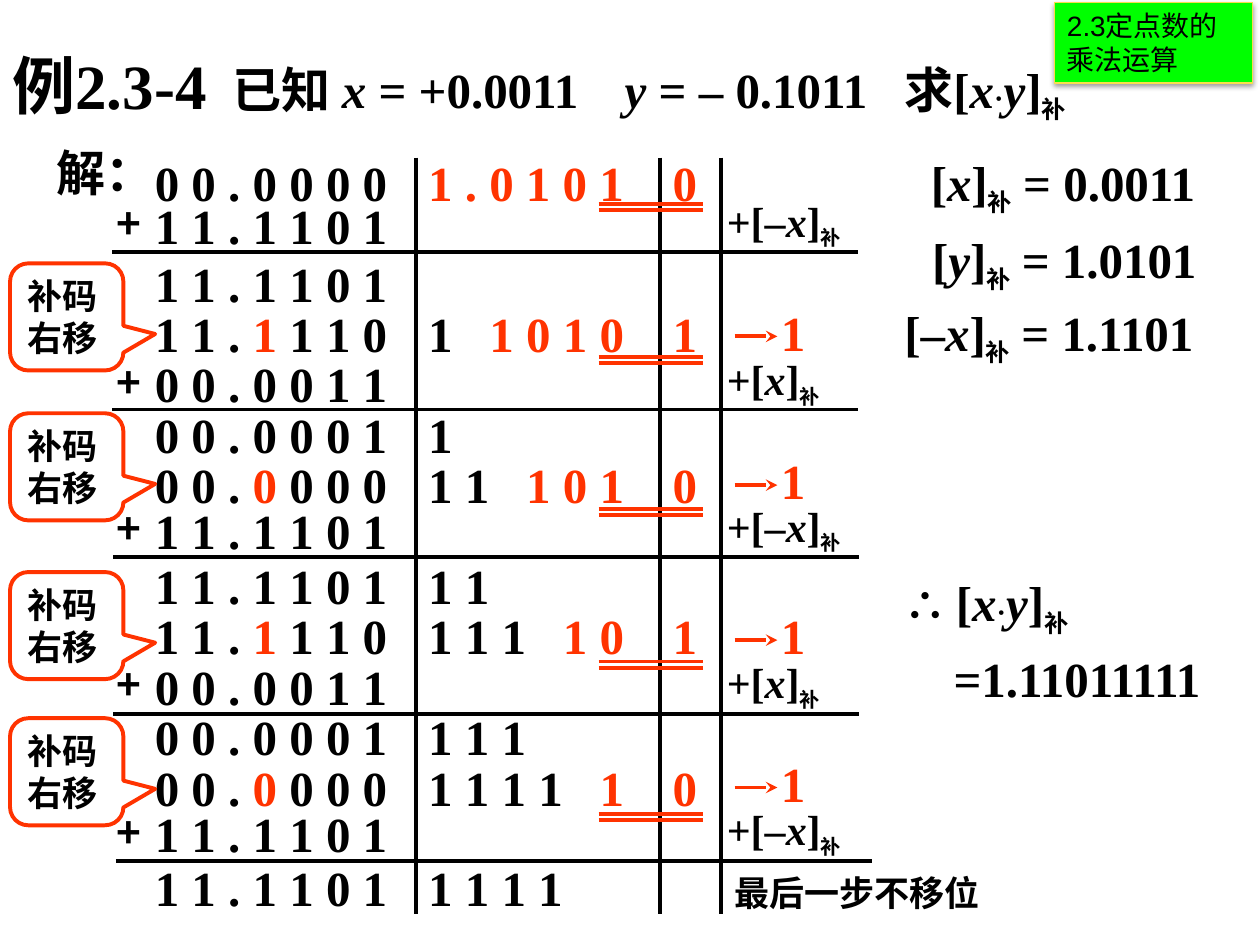
from lxml.etree import SubElement
from pptx import Presentation
from pptx.dml.color import RGBColor
from pptx.enum.shapes import MSO_CONNECTOR, MSO_SHAPE
from pptx.enum.text import MSO_ANCHOR, MSO_AUTO_SIZE, PP_ALIGN
from pptx.oxml.ns import qn
from pptx.util import Inches, Pt

BLACK, RED = "000000", "FF3300"
SERIF, CJK = "Times New Roman", "Noto Sans CJK SC"
ITALIC = {"italic": True}
DOT = {"base": -1}


def color(value):
    return RGBColor.from_string(value)


def complement(size):
    return ("补", {"size": size, "base": -25})


class Board:
    def __init__(self, page):
        self.page = page
        self.font = SERIF
        self.width = Pt(2.25)

    def style(self, span, size, ink=BLACK, bold=True, italic=False, font=None, base=0):
        span.font.size = Pt(size)
        span.font.bold = bold
        span.font.italic = italic
        span.font.name = font or self.font
        span.font.color.rgb = color(ink)
        properties = span._r.get_or_add_rPr()
        SubElement(properties, qn("a:ea"), typeface=CJK)
        if base:
            properties.set("baseline", str(base * 1000))

    def add_spans(self, para, runs, **defaults):
        para.alignment = PP_ALIGN.LEFT
        for text, changes in runs:
            span = para.add_run()
            span.text = text
            self.style(span, **{**defaults, **changes})

    def text(self, left, top, width, height, runs, wrap=True, tabs=(), **defaults):
        box = self.page.shapes.add_textbox(*map(Inches, (left, top, width, height)))
        frame = box.text_frame
        frame.word_wrap = wrap
        frame.auto_size = MSO_AUTO_SIZE.SHAPE_TO_FIT_TEXT
        para = frame.paragraphs[0]
        if tabs:
            stops = SubElement(para._p.get_or_add_pPr(), qn("a:tabLst"))
            for stop in tabs:
                SubElement(stops, qn("a:tab"), pos=str(Inches(stop)), algn="l")
        if isinstance(runs, str):
            runs = [(runs, {})]
        self.add_spans(para, runs, **{"size": 28, **defaults})
        return frame

    def line(self, x1, y1, x2, y2, ink=BLACK, arrow=False):
        line = self.page.shapes.add_connector(
            MSO_CONNECTOR.STRAIGHT, *map(Inches, (x1, y1, x2, y2)))
        line.line.color.rgb = color(ink)
        line.line.width = self.width
        properties = line._element.spPr
        if arrow:
            SubElement(properties.find(qn("a:ln")), qn("a:tailEnd"), type="stealth")
        SubElement(properties, qn("a:effectLst"))

    def shape(self, kind, left, top, width, height, text, ink, **style):
        shape = self.page.shapes.add_shape(kind, *map(Inches, (left, top, width, height)))
        shape.shadow.inherit = False
        shape.line.color.rgb = color(ink)
        frame = shape.text_frame
        frame.word_wrap = True
        frame.auto_size = MSO_AUTO_SIZE.SHAPE_TO_FIT_TEXT
        frame.vertical_anchor = MSO_ANCHOR.TOP
        self.add_spans(frame.paragraphs[0], [(text, {})], **style)
        return shape

    def callout(self, top):
        shape = self.shape(MSO_SHAPE.ROUNDED_RECTANGULAR_CALLOUT, 0.08, top, 0.9, 0.85,
                           "补码右移", RED, size=20)
        shape.fill.background()
        shape.line.width = self.width
        for index, value in enumerate((0.78, 0.16, 0.17)):
            shape.adjustments[index] = value

    def badge(self):
        shape = self.shape(MSO_SHAPE.RECTANGLE, 8.37, 0.02, 1.57, 0.64,
                           "2.3定点数的乘法运算", "FADD4D", size=16, bold=False, font="Arial")
        shape.fill.solid()
        shape.fill.fore_color.rgb = color("00FF00")
        shape.line.width = Pt(0.75)
        effects = shape._element.spPr.find(qn("a:effectLst"))
        shadow = SubElement(effects, qn("a:outerShdw"), blurRad=str(Pt(3.1)),
                            dist=str(Pt(1.6)), dir="5400000", rotWithShape="0")
        ink = SubElement(shadow, qn("a:srgbClr"), val=BLACK)
        SubElement(ink, qn("a:alpha"), val="38000")

    def digits(self, top, runs):
        self.text(1.13, top, 2.05, 0.57, runs, wrap=False)

    def bit(self, left, top, value):
        self.text(left, top, 0.4, 0.57, value, wrap=False, ink=RED)

    def addition(self, top, addend, sign, rule, start, end):
        self.digits(top, addend)
        self.text(0.83, top + 0.02, 0.59, 0.5, "+", size=24, font=CJK)
        self.text(5.67, top, 1.42, 0.5,
                  [("+[" + sign, {}), ("x", ITALIC), ("]", {}), complement(20)], size=24)
        self.line(start, rule, end, rule)

    def shift(self, top, sign, tail, done, left, last, arrow, callout):
        self.digits(top, [(f"{sign} {sign} . ", {}), (sign, {"ink": RED}), (tail, {})])
        count = len(done.split())
        self.text(3.3, top, 1.92, 0.57, [(done + "\t", {}), (left, {"ink": RED})],
                  tabs=[(21 * count + 14) / 72])
        self.bit(5.24, top, last)
        self.line(5.83, arrow, 6.17, arrow, RED, arrow=True)
        self.bit(6.1, arrow - 0.32, "1")
        self.callout(callout)

    def value(self, left, top, lead, name, result):
        self.text(left, top, 10 - left, 0.57,
                  lead + [(name, ITALIC), ("]", {}), complement(24), (" = " + result, {})])


def main():
    deck = Presentation()
    deck.slide_width, deck.slide_height = Inches(10), Inches(7.5)
    board = Board(deck.slides.add_slide(deck.slide_layouts[6]))
    product = [("x", ITALIC), ("·", DOT), ("y", ITALIC), ("]", {}), complement(24)]

    board.text(0, 0.32, 3.58, 0.7, "例2.3-4", size=36)
    board.text(1.75, 0.42, 7.92, 0.57,
               [("已知 ", {}), ("x", ITALIC), (" = +0.0011\t", {}), ("y", ITALIC),
                (" = – 0.1011\t求[", {})] + product, tabs=[3.11, 5.33])
    board.text(0.35, 1.08, 0.98, 0.57, "解：", wrap=False)

    for x in (3.3, 5.24, 5.72):
        board.line(x, 1.25, x, 7.25)
    board.digits(1.16, "0 0 . 0 0 0 0")
    board.text(3.3, 1.16, 1.76, 0.57, "1 . 0 1 0 1", wrap=False, ink=RED)
    board.bit(5.24, 1.16, "0")

    plus_x, minus_x = ("0 0 . 0 0 1 1", ""), ("1 1 . 1 1 0 1", "–")
    additions = [
        (1.5, minus_x, 2, 0.89, 6.81),
        (2.76, plus_x, 3.25, 0.89, 6.81),
        (3.92, minus_x, 4.42, 0.9, 6.82),
        (5.16, plus_x, 5.67, 0.9, 6.82),
        (6.33, minus_x, 6.83, 0.92, 6.92),
    ]
    for index, (top, (addend, sign), rule, start, end) in enumerate(additions):
        board.addition(top, addend, sign, rule, start, end)
        total = "0 0 . 0 0 0 1" if index % 2 else "1 1 . 1 1 0 1"
        board.digits(1.96 + 1.2 * index, total)
        if index:
            board.text(3.3, 1.96 + 1.2 * index, 0.1 + 0.3 * index, 0.57,
                       " ".join("1" * index), wrap=False)
        for y in (1.62, 1.67):
            board.line(4.75, y + 1.21 * index, 5.58, y + 1.21 * index, RED)

    shifts = [
        ("1", " 1 1 0", "1", "1 0 1 0", "1", 2.67, 2.09),
        ("0", " 0 0 0", "1 1", "1 0 1", "0", 3.85, 3.28),
        ("1", " 1 1 0", "1 1 1", "1 0", "1", 5.08, 4.54),
        ("0", " 0 0 0", "1 1 1 1", "1", "0", 6.25, 5.7),
    ]
    for index, step in enumerate(shifts):
        board.shift(2.36 + 1.2 * index, *step)

    small_gap = (" ", {"size": 14})
    board.value(7.24, 1.16, [small_gap, ("[", {})], "x", "0.0011")
    board.value(7.25, 1.77, [small_gap, ("[", {})], "y", "1.0101")
    board.value(7.08, 2.35, [("[–", {})], "x", "1.1101")

    answer = board.text(7.08, 4.54, 2.83, 1.13,
                        [("∴ ", {"size": 24, "font": CJK}), ("[", {})] + product)
    result = answer.add_paragraph()
    result._p.get_or_add_pPr().set("marL", str(Inches(0.39)))
    result.space_before = Pt(14)
    board.add_spans(result, [("=1.11011111", {})], size=28)
    for para in answer.paragraphs:
        para.line_spacing = 0.85

    note = board.text(5.67, 6.92, 2.17, 0.33, "最后一步不移位", size=20)
    note.margin_left, note.margin_right = Inches(0.16), Inches(0.02)
    note.margin_top = note.margin_bottom = 0
    board.badge()
    deck.save("out.pptx")


if __name__ == "__main__":
    main()
